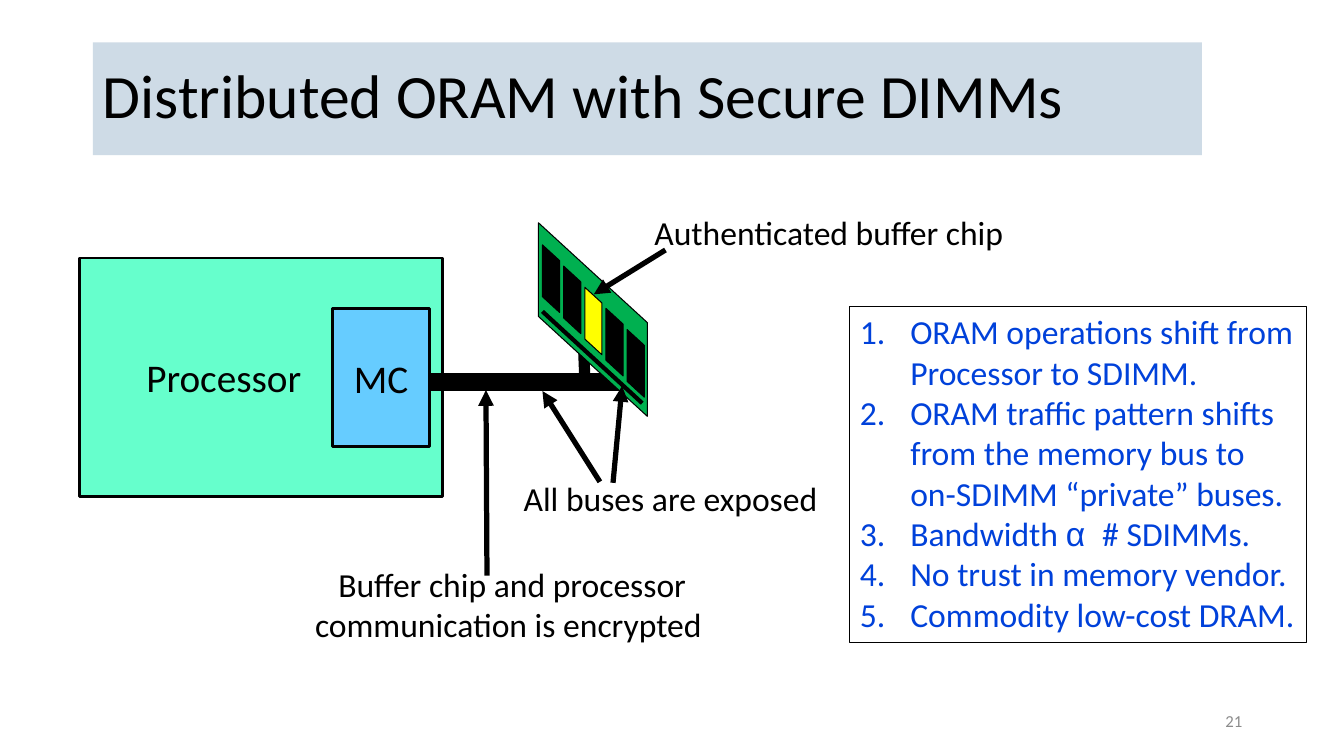
"""Build the slide on distributed ORAM with secure DIMMs."""
from lxml import etree
from pptx import Presentation
from pptx import util as u
from pptx.dml.color import RGBColor
from pptx.enum import shapes, text
from pptx.oxml.ns import qn

COLORS = {
    "black": "000000", "band": "CEDBE6", "grey": "8C8C8C", "mint": "66FFCC",
    "sky": "66CCFF", "green": "00B050", "yellow": "FFFF00", "blue": "0041DA",
}
TITLE = "Distributed ORAM with Secure DIMMs"
PAGE_NUMBER = "21"
LABELS = [
    ("Authenticated buffer chip", (6.37, 2.05, 3.7, 0.5), 24, False),
    ("All buses are exposed", (5.08, 4.69, 3.14, 0.5), 24, False),
    ("Buffer chip and processor communication is encrypted ",
     (2.22, 5.54, 5.72, 0.91), 24, True),
    ("Processor", (1.34, 3.46, 1.76, 0.57), 28, False),
]
BUSES = [((4.26, 3.79), (6.14, 3.79), 12.75), ((5.79, 3.49), (5.8, 3.75), 8)]
DIMM_EDGE = ((5.38, 3.09), (6.37, 4), 3)
ARROWS = [
    ((6.6, 2.48), (5.89, 2.92)),
    ((5.95, 4.78), (5.38, 3.88)),
    ((6.08, 4.79), (6.17, 3.83)),
    ((4.83, 5.71), (4.82, 3.87)),
]
POINTS = [
    [("ORAM operations shift from Processor to SDIMM.", "Calibri")],
    [("ORAM traffic pattern shifts from the memory bus to on-SDIMM “private” buses.",
      "Calibri")],
    [("Bandwidth ", "Calibri"), ("α ", "Arial"), (" # SDIMMs.", "Calibri")],
    [("No trust in memory vendor.", "Calibri")],
    [("Commodity low-cost DRAM.", "Calibri")],
]
DIMM = (4.92, 2.63, 1.92, 1.08)
CHIP_COLORS = ["black", "black", "yellow", "black", "black"]
CHIP_START, CHIP_STEP, CHIP_SIZE = (5.13, 2.68), 0.21, (0.67, 0.17)
SLANT = 0.917
Kind = shapes.MSO_SHAPE
Align = text.PP_ALIGN


def rgb(name):
    return RGBColor.from_string(COLORS[name])


def inches(values):
    return [u.Inches(value) for value in values]


def add_span(para, words, size, color="black", font="Calibri"):
    span = para.add_run()
    span.text = words
    span.font.size = u.Pt(size)
    span.font.name = font
    span.font.color.rgb = rgb(color)


def add_label(page, words, place, size, wrap=False, align=Align.CENTER,
              color="black"):
    box = page.shapes.add_textbox(*inches(place))
    box.text_frame.word_wrap = wrap
    para = box.text_frame.paragraphs[0]
    para.alignment = align
    add_span(para, words, size, color)
    return box


def add_block(page, kind, place, fill, width):
    box = page.shapes.add_shape(kind, *inches(place))
    box.shadow.inherit = False
    if fill:
        box.fill.solid()
        box.fill.fore_color.rgb = rgb(fill)
    else:
        box.fill.background()
    box.line.color.rgb = rgb("black")
    box.line.width = u.Pt(width)
    return box


def add_slanted(page, place, fill):
    box = add_block(page, Kind.PARALLELOGRAM, place, fill, 0.75)
    box.adjustments[0] = SLANT
    box.rotation = 90


def add_line(page, start, end, width, arrow=False):
    line = page.shapes.add_connector(
        shapes.MSO_CONNECTOR.STRAIGHT, *inches(start + end))
    line.line.color.rgb = rgb("black")
    line.line.width = u.Pt(width)
    properties = line._element.spPr
    if arrow:
        etree.SubElement(properties.find(qn("a:ln")), qn("a:tailEnd"), type="triangle")
    etree.SubElement(properties, qn("a:effectLst"))


def add_title(page):
    title = page.shapes.title
    title.left, title.top, title.width, title.height = inches((0.92, 0.42, 11, 1.12))
    title.fill.solid()
    title.fill.fore_color.rgb = rgb("band")
    title.text_frame.auto_size = text.MSO_AUTO_SIZE.NONE
    title.text_frame.vertical_anchor = text.MSO_ANCHOR.MIDDLE
    para = title.text_frame.paragraphs[0]
    para.alignment = Align.LEFT
    para.line_spacing = 0.9
    add_span(para, TITLE, 44)


def add_processor(page):
    add_block(page, Kind.RECTANGLE, (0.79, 2.56, 3.6, 2.37), "mint", 2)
    controller = add_block(page, Kind.RECTANGLE, (3.3, 3.06, 0.96, 1.37), "sky", 2)
    para = controller.text_frame.paragraphs[0]
    para.alignment = Align.CENTER
    add_span(para, "MC", 28)


def add_dimm(page):
    add_slanted(page, DIMM, "green")
    for index, color in enumerate(CHIP_COLORS):
        corner = tuple(start + index * CHIP_STEP for start in CHIP_START)
        add_slanted(page, corner + CHIP_SIZE, color)
    add_line(page, *DIMM_EDGE)


def add_points(page):
    box = add_block(page, Kind.RECTANGLE, (8.43, 3.04, 4.53, 3.33), None, 0.75)
    frame = box.text_frame
    frame.word_wrap = True
    frame.vertical_anchor = text.MSO_ANCHOR.TOP
    for index, spans in enumerate(POINTS):
        para = frame.add_paragraph() if index else frame.paragraphs[0]
        para.alignment = Align.LEFT
        properties = para._p.get_or_add_pPr()
        properties.set("marL", str(u.Inches(0.5)))
        properties.set("indent", str(u.Inches(-0.5)))
        etree.SubElement(properties, qn("a:buFont"), typeface="+mj-lt")
        etree.SubElement(properties, qn("a:buAutoNum"), type="arabicPeriod")
        for words, font in spans:
            add_span(para, words, 24, "blue", font)


def main():
    deck = Presentation()
    deck.slide_width, deck.slide_height = inches((13.33, 7.5))
    page = deck.slides.add_slide(deck.slide_layouts[5])
    add_title(page)
    number = add_label(page, PAGE_NUMBER, (9.42, 6.95, 3, 0.4), 12, True,
                       Align.RIGHT, "grey")
    number.text_frame.vertical_anchor = text.MSO_ANCHOR.MIDDLE
    add_processor(page)
    for bus in BUSES:
        add_line(page, *bus)
    add_dimm(page)
    for label in LABELS:
        add_label(page, *label)
    for start, end in ARROWS:
        add_line(page, start, end, 3.75, arrow=True)
    add_points(page)
    deck.save("out.pptx")


if __name__ == "__main__":
    main()
